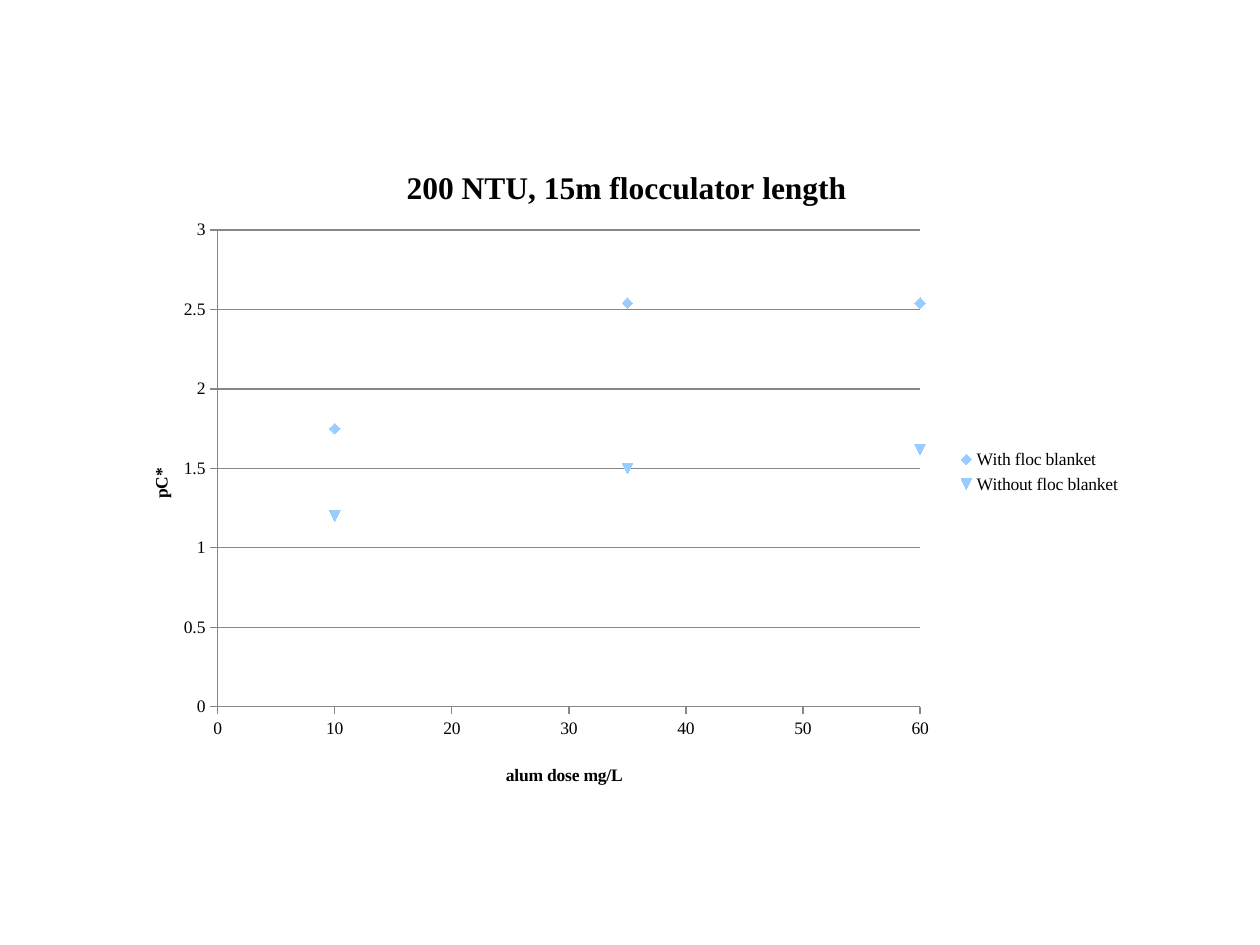
from dataclasses import dataclass
from typing import Optional

from lxml import etree
from pptx import Presentation
from pptx.chart.data import XyChartData
from pptx.dml.color import RGBColor
from pptx.enum import chart as charts
from pptx.oxml.ns import qn
from pptx.util import Inches, Pt

FONT = "Times New Roman"
BLACK, GREY, LIGHT_BLUE = "000000", "878787", "99CCFF"
ALUM_DOSES = (60, 35, 10)


@dataclass
class Series:
    name: str
    values: tuple
    marker: Optional[charts.XL_MARKER_STYLE]


SERIES = (
    Series("With floc blanket", (2.54, 2.54, 1.75), charts.XL_MARKER_STYLE.DIAMOND),
    Series("Without floc blanket", (1.62, 1.5, 1.2), None),
)


def color(value: str) -> RGBColor:
    return RGBColor.from_string(value)


def format_font(font, size: float, bold: bool = False) -> None:
    font.name, font.size, font.bold = FONT, Pt(size), bold
    font.color.rgb = color(BLACK)


def format_line(line) -> None:
    line.color.rgb = color(GREY)
    line.width = Pt(0.75)


def make_layout(**settings) -> etree._Element:
    """Manual chart layout, as fractions of the chart size."""
    layout = etree.Element(qn("c:layout"))
    manual = etree.SubElement(layout, qn("c:manualLayout"))
    for name, value in settings.items():
        etree.SubElement(manual, qn(f"c:{name}"), val=str(value))
    return layout


def set_title(owner, text: str, size: float, x: float, y: float) -> None:
    title = owner.chart_title if hasattr(owner, "chart_title") else owner.axis_title
    title.text_frame.text = text
    format_font(title.text_frame.paragraphs[0].runs[0].font, size, bold=True)
    element = title._element
    for old in element.findall(qn("c:layout")):
        element.remove(old)
    element.find(qn("c:tx")).addnext(make_layout(xMode="edge", yMode="edge", x=x, y=y))


def format_axis(axis, maximum: float, step: float, gridlines: bool) -> None:
    axis.minimum_scale, axis.maximum_scale, axis.major_unit = 0, maximum, step
    axis.major_tick_mark = charts.XL_TICK_MARK.OUTSIDE
    axis.minor_tick_mark = charts.XL_TICK_MARK.NONE
    axis.has_major_gridlines = gridlines
    if gridlines:
        format_line(axis.major_gridlines.format.line)
    format_line(axis.format.line)
    axis.tick_labels.number_format = "General"
    axis.tick_labels.number_format_is_linked = False
    format_font(axis.tick_labels.font, 10)


def add_scatter(slide):
    data = XyChartData()
    for item in SERIES:
        points = data.add_series(item.name)
        for dose, value in zip(ALUM_DOSES, item.values):
            points.add_data_point(dose, value)
    chart = slide.shapes.add_chart(
        charts.XL_CHART_TYPE.XY_SCATTER,
        Inches(0.92), Inches(1.08), Inches(8.08), Inches(5.33), data).chart
    format_font(chart.font, 10)
    chart.plots[0].vary_by_categories = False
    for item, series in zip(SERIES, chart.plots[0].series):
        series.smooth = False
        series.format.line.fill.background()
        if item.marker is not None:
            series.marker.style = item.marker
        series.marker.size = 6
        series.marker.format.fill.solid()
        series.marker.format.fill.fore_color.rgb = color(LIGHT_BLUE)
        series.marker.format.line.color.rgb = color(LIGHT_BLUE)
    return chart


def main() -> None:
    presentation = Presentation()
    presentation.slide_width, presentation.slide_height = Inches(10), Inches(7.5)
    slide = presentation.slides.add_slide(presentation.slide_layouts[6])
    chart = add_scatter(slide)

    # Axes and titles
    format_axis(chart.category_axis, 60, 10, gridlines=False)
    format_axis(chart.value_axis, 3, 0.5, gridlines=True)
    set_title(chart, "200 NTU, 15m flocculator length", 18, 0.28, 0.04)
    set_title(chart.category_axis, "alum dose mg/L", 10, 0.38, 0.93)
    set_title(chart.value_axis, "pC*", 10, 0.03, 0.49)

    # Legend
    chart.has_legend = True
    chart.legend.position = charts.XL_LEGEND_POSITION.RIGHT
    chart.legend.include_in_layout = False
    format_font(chart.legend.font, 10)

    # Plot area
    plot_area = chart._chartSpace.chart.plotArea
    for old in plot_area.findall(qn("c:layout")):
        plot_area.remove(old)
    plot_area.insert(0, make_layout(layoutTarget="inner", xMode="edge", yMode="edge",
                                    x=0.1, y=0.14, w=0.69, h=0.71))

    presentation.save("out.pptx")


if __name__ == "__main__":
    main()
